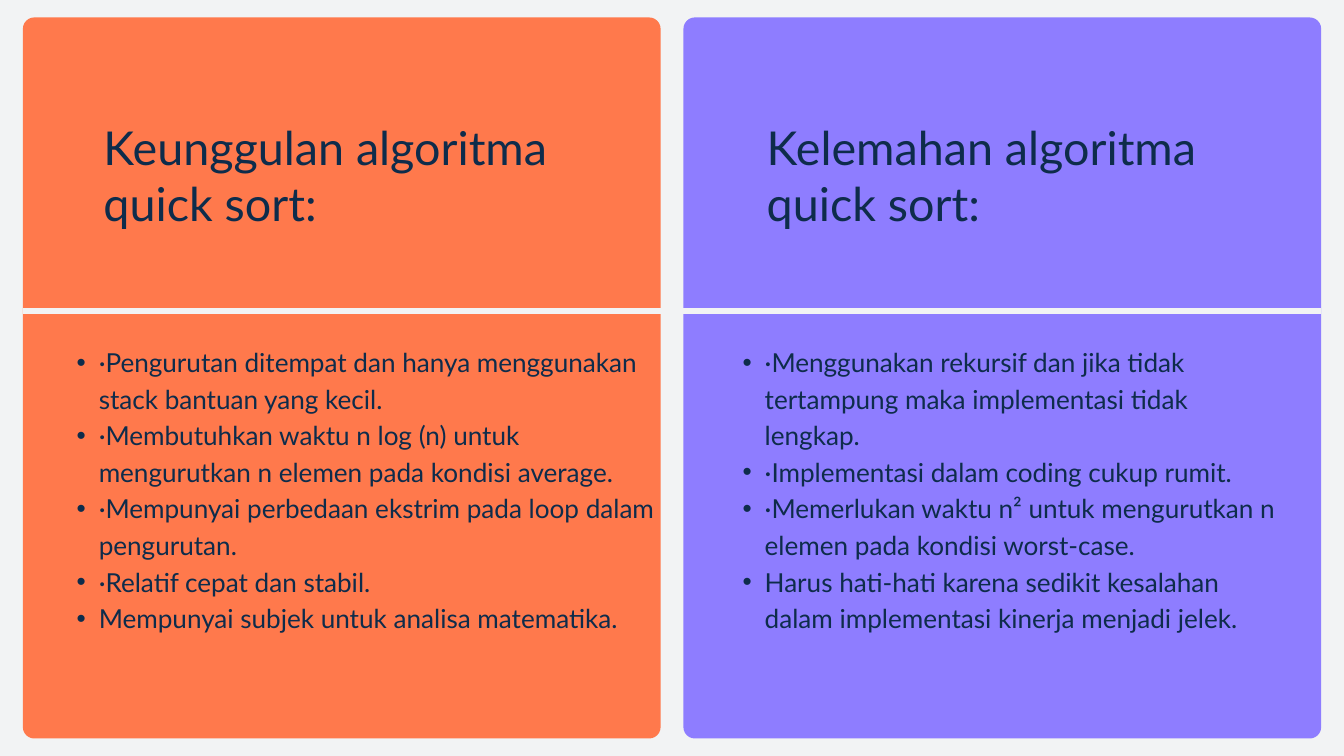
import pptx
import pptx.util
import pptx.dml.color
import pptx.enum.shapes
import pptx.enum.text
import pptx.oxml.ns
import lxml.etree

Inches = pptx.util.Inches
Pt = pptx.util.Pt
text = pptx.enum.text
WIDE, HIGH = 20, 11.25
EDGE, TOP = 0.34, 0.26
PANEL = (WIDE - 3 * EDGE) / 2
TALL = HIGH - 2 * TOP
HUES = {"back": "F2F3F4", "ink": "0E2C4B", "pro": "FF794C", "con": "8E7DFF"}
SIDES = [
    {
        "hue": "pro", "head": 0, "list": 2, "shift": 1.2, "pad": 0.47, "span": 9.02,
        "title": "Keunggulan algoritma quick sort:",
        "items": [
            "·Pengurutan ditempat dan hanya menggunakan stack bantuan yang kecil.",
            "·Membutuhkan waktu n log (n) untuk mengurutkan n elemen pada kondisi average.",
            "·Mempunyai perbedaan ekstrim pada loop dalam pengurutan.",
            "·Relatif cepat dan stabil.",
            "Mempunyai subjek untuk analisa matematika.",
        ],
    },
    {
        "hue": "con", "head": 3, "list": 4, "shift": 1.24, "pad": 0.55, "span": 8.38,
        "title": "Kelemahan algoritma quick sort:",
        "items": [
            "·Menggunakan rekursif dan jika tidak tertampung maka implementasi tidak lengkap.",
            "·Implementasi dalam coding cukup rumit.",
            "·Memerlukan waktu n² untuk mengurutkan n elemen pada kondisi worst-case.",
            "Harus hati-hati karena sedikit kesalahan dalam implementasi kinerja menjadi jelek.",
        ],
    },
]


def tint(name):
    return pptx.dml.color.RGBColor.from_string(HUES[name])


def mark(para):
    props = para._p.get_or_add_pPr()
    props.set("marL", str(Inches(0.66)))
    props.set("indent", str(Inches(-0.33)))
    for tag, key, value in (("a:buFont", "typeface", "Arial"), ("a:buChar", "char", "•")):
        lxml.etree.SubElement(props, pptx.oxml.ns.qn(tag)).set(key, value)


def write(holder, box, lines, size, lead, listed=False):
    holder.left, holder.top, holder.width, holder.height = map(Inches, box)
    frame = holder.text_frame
    frame.text = "\n".join(lines)
    frame.word_wrap = True
    frame.auto_size = text.MSO_AUTO_SIZE.NONE
    frame.vertical_anchor = text.MSO_ANCHOR.TOP
    frame.margin_left = frame.margin_right = frame.margin_top = frame.margin_bottom = 0
    for para in frame.paragraphs:
        if listed:
            mark(para)
        para.alignment = text.PP_ALIGN.LEFT
        para.line_spacing = Pt(lead)
        para.space_before = para.space_after = Pt(0)
        para.font.name = "Lato"
        para.font.size = Pt(size)
        para.font.bold = False
        para.font.color.rgb = tint("ink")


def draw_side(slide, side, left, top, width, height):
    shapes = slide.shapes
    kind = pptx.enum.shapes.MSO_SHAPE.ROUNDED_RECTANGLE
    panel = shapes.add_shape(kind, *map(Inches, (left, top, width, height)))
    panel.adjustments[0] = 0.17 / width
    panel.shadow.inherit = False
    panel.fill.solid()
    panel.fill.fore_color.rgb = tint(side["hue"])
    panel.line.fill.background()
    shapes.element.insert(2, panel.element)

    split = top + 0.407 * height
    straight = pptx.enum.shapes.MSO_CONNECTOR.STRAIGHT
    rule = shapes.add_connector(straight, *map(Inches, (left, split, left + width, split)))
    rule.line.color.rgb = tint("back")
    rule.line.width = Pt(6)
    props = rule.element.find(pptx.oxml.ns.qn("p:spPr"))
    lxml.etree.SubElement(props, pptx.oxml.ns.qn("a:effectLst"))

    holds = {hold.placeholder_format.idx: hold for hold in slide.placeholders}
    head = (left + side["shift"], top + 0.14 * height, 7.01, 1.67)
    write(holds[side["head"]], head, [side["title"]], 50, 60)
    body = (left + side["pad"], split + 0.45, side["span"], 4.32)
    write(holds[side["list"]], body, side["items"], 28, 39.2, True)


def main():
    deck = pptx.Presentation()
    deck.slide_width, deck.slide_height = Inches(WIDE), Inches(HIGH)
    slide = deck.slides.add_slide(deck.slide_layouts.get_by_name("Comparison"))
    slide.background.fill.solid()
    slide.background.fill.fore_color.rgb = tint("back")
    for col, side in enumerate(SIDES):
        draw_side(slide, side, EDGE + col * (PANEL + EDGE), TOP, PANEL, TALL)
    used = {side[part] for side in SIDES for part in ("head", "list")}
    for hold in list(slide.placeholders):
        if hold.placeholder_format.idx not in used:
            shapes = slide.shapes.element
            shapes.remove(hold.element)
    deck.save("out.pptx")


if __name__ == "__main__":
    main()
